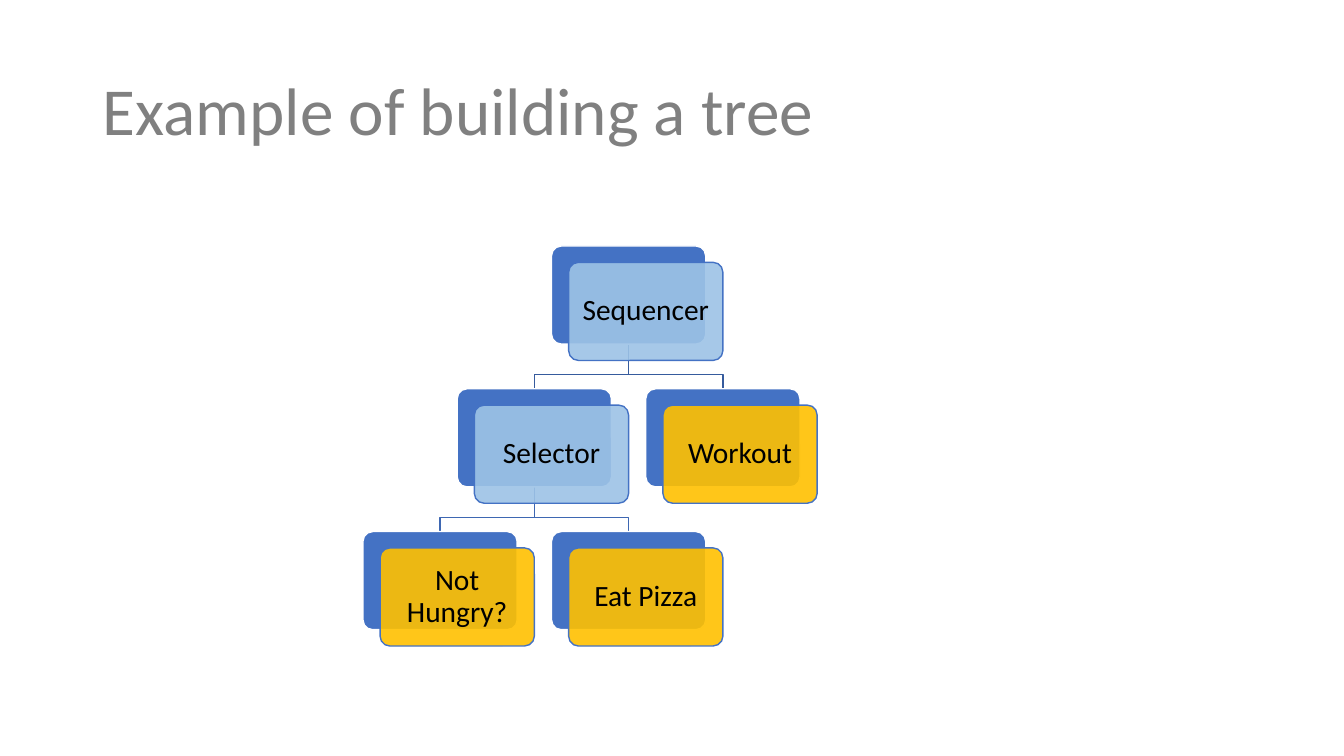
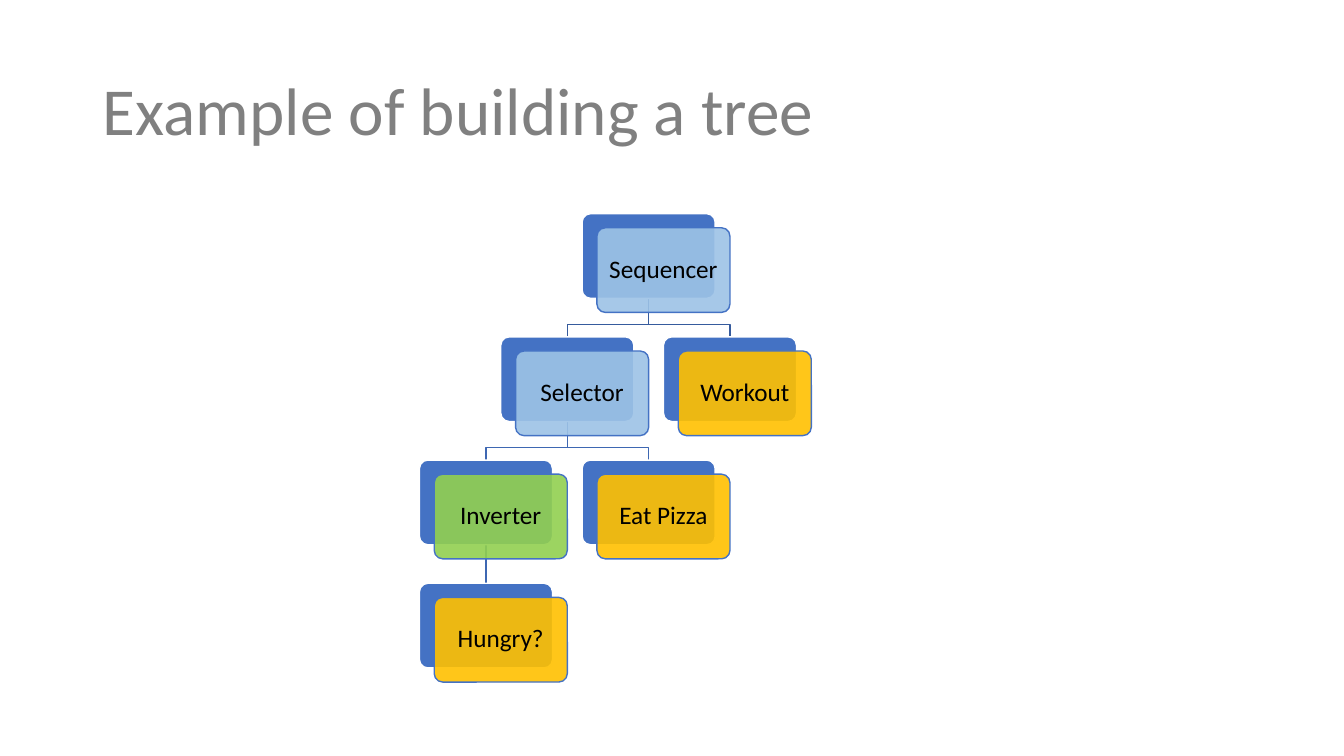
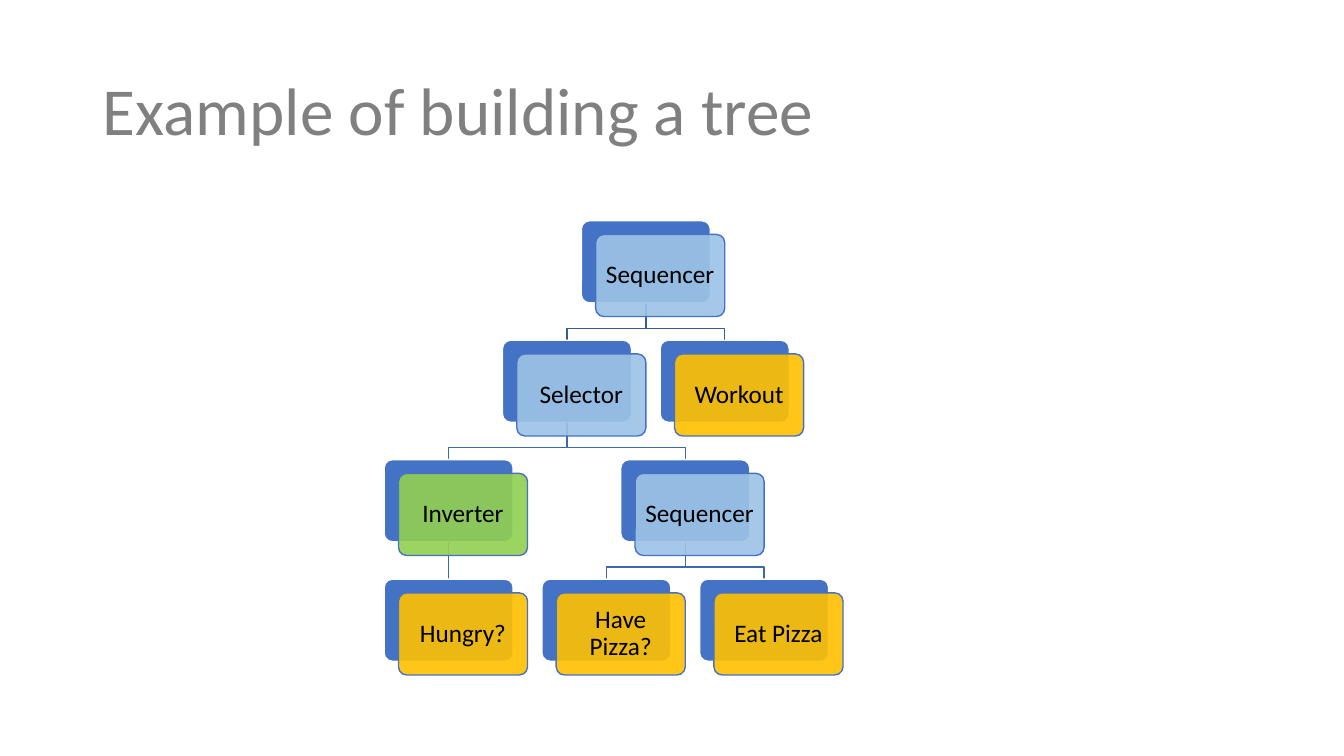
from dataclasses import dataclass, field

from lxml.etree import SubElement
from pptx import Presentation
from pptx.dml.color import RGBColor
from pptx.enum.shapes import MSO_CONNECTOR, MSO_SHAPE
from pptx.enum.text import MSO_ANCHOR, MSO_AUTO_SIZE, PP_ALIGN
from pptx.oxml.ns import qn
from pptx.util import Inches, Pt

FONT = "Calibri"
TITLE = "Example of building a tree"
GREY, BLACK, WHITE = "808080", "000000", "FFFFFF"
BLUE, PALE_BLUE, GREEN, GOLD = "4472C4", "9DC3E6", "92D050", "FFC000"
ROOT_LINK, LOWER_LINK = "365B9D", "3E67B2"


@dataclass
class Node:
    label: str
    color: str
    children: list = field(default_factory=list)
    row: int = 0
    column: float = 0


@dataclass
class Grid:
    left: float
    top: float
    width: float
    size: int

    @property
    def height(self):
        return self.width * 7 / 11

    def corner(self, node):
        column_step = self.width * 11 / 9
        row_step = self.width * 25 / 27
        return self.left + node.column * column_step, self.top + node.row * row_step


def rgb(color):
    return RGBColor.from_string(color)


def composite(label, *children):
    return Node(label, PALE_BLUE, list(children))


def inverter(child):
    return Node("Inverter", GREEN, [child])


def leaf(label):
    return Node(label, GOLD)


def arrange(node, row=0, last_columns=None):
    last_columns = {} if last_columns is None else last_columns
    node.row = row
    for child in node.children:
        arrange(child, row + 1, last_columns)
    if node.children:
        node.column = (node.children[0].column + node.children[-1].column) / 2
    else:
        node.column = last_columns.get(row, -1) + 1
    last_columns[row] = node.column


def walk(node):
    yield node
    for child in node.children:
        yield from walk(child)


def format_text(frame, size, color, align):
    frame.word_wrap = True
    frame.auto_size = MSO_AUTO_SIZE.NONE
    frame.vertical_anchor = MSO_ANCHOR.MIDDLE
    for para in frame.paragraphs:
        para.alignment = align
        para.line_spacing = 0.9
        for span in para.runs:
            span.font.name = FONT
            span.font.size = Pt(size)
            span.font.color.rgb = rgb(color)


def add_title(page):
    box = page.shapes.title
    box.left, box.top = Inches(0.92), Inches(0.4)
    box.width, box.height = Inches(11.5), Inches(1.45)
    box.text_frame.text = TITLE
    format_text(box.text_frame, 48, GREY, PP_ALIGN.LEFT)


def add_link(page, grid, parent, child):
    parent_left, parent_top = grid.corner(parent)
    child_left, end_y = grid.corner(child)
    start_x, end_x = parent_left + grid.width / 2, child_left + grid.width / 2
    start_y = parent_top + grid.height
    if parent.column == child.column:
        link = page.shapes.add_connector(
            MSO_CONNECTOR.STRAIGHT,
            Inches(start_x), Inches(start_y), Inches(end_x), Inches(end_y))
    else:
        bend_y = start_y + (end_y - start_y) * 0.68
        outline = page.shapes.build_freeform(Inches(start_x), Inches(start_y))
        corners = [(start_x, bend_y), (end_x, bend_y), (end_x, end_y)]
        outline.add_line_segments(
            [(Inches(x), Inches(y)) for x, y in corners], close=False)
        link = outline.convert_to_shape()
        link.fill.background()
    link.line.color.rgb = rgb(LOWER_LINK if parent.row else ROOT_LINK)
    link.line.width = Pt(1)
    SubElement(link._element.spPr, qn("a:effectLst"))


def add_card(page, grid, left, top, fill, line):
    card = page.shapes.add_shape(
        MSO_SHAPE.ROUNDED_RECTANGLE,
        Inches(left), Inches(top), Inches(grid.width), Inches(grid.height))
    card.adjustments[0] = 0.1
    card.shadow.inherit = False
    card.fill.solid()
    card.fill.fore_color.rgb = rgb(fill)
    card.line.color.rgb = rgb(line)
    card.line.width = Pt(1)
    return card


def add_node(page, grid, node):
    left, top = grid.corner(node)
    add_card(page, grid, left, top, BLUE, WHITE)
    front = add_card(page, grid, left + grid.width / 9, top + grid.height / 6,
                     node.color, BLUE)
    color = front._element.spPr.find(qn("a:solidFill"))[0]
    SubElement(color, qn("a:alpha"), val="90000")
    frame = front.text_frame
    inset = Inches(grid.width * 0.05)
    frame.margin_left = frame.margin_right = inset
    frame.margin_top = frame.margin_bottom = inset
    frame.text = node.label
    format_text(frame, grid.size, BLACK, PP_ALIGN.CENTER)


def add_tree_page(deck, grid, root):
    page = deck.slides.add_slide(deck.slide_layouts[5])
    add_title(page)
    arrange(root)
    for parent in walk(root):
        for child in parent.children:
            add_link(page, grid, parent, child)
    for node in walk(root):
        add_node(page, grid, node)


def main():
    deck = Presentation()
    deck.slide_width, deck.slide_height = Inches(13.33), Inches(7.5)
    add_tree_page(
        deck, Grid(3.6, 2.44, 1.53, 21),
        composite("Sequencer",
                  composite("Selector", leaf("Not Hungry?"), leaf("Eat Pizza")),
                  leaf("Workout")))
    add_tree_page(
        deck, Grid(4.16, 2.12, 1.32, 18),
        composite("Sequencer",
                  composite("Selector", inverter(leaf("Hungry?")), leaf("Eat Pizza")),
                  leaf("Workout")))
    add_tree_page(
        deck, Grid(3.81, 2.19, 1.28, 18),
        composite("Sequencer",
                  composite("Selector",
                            inverter(leaf("Hungry?")),
                            composite("Sequencer", leaf("Have Pizza?"), leaf("Eat Pizza"))),
                  leaf("Workout")))
    deck.save("out.pptx")


if __name__ == "__main__":
    main()
